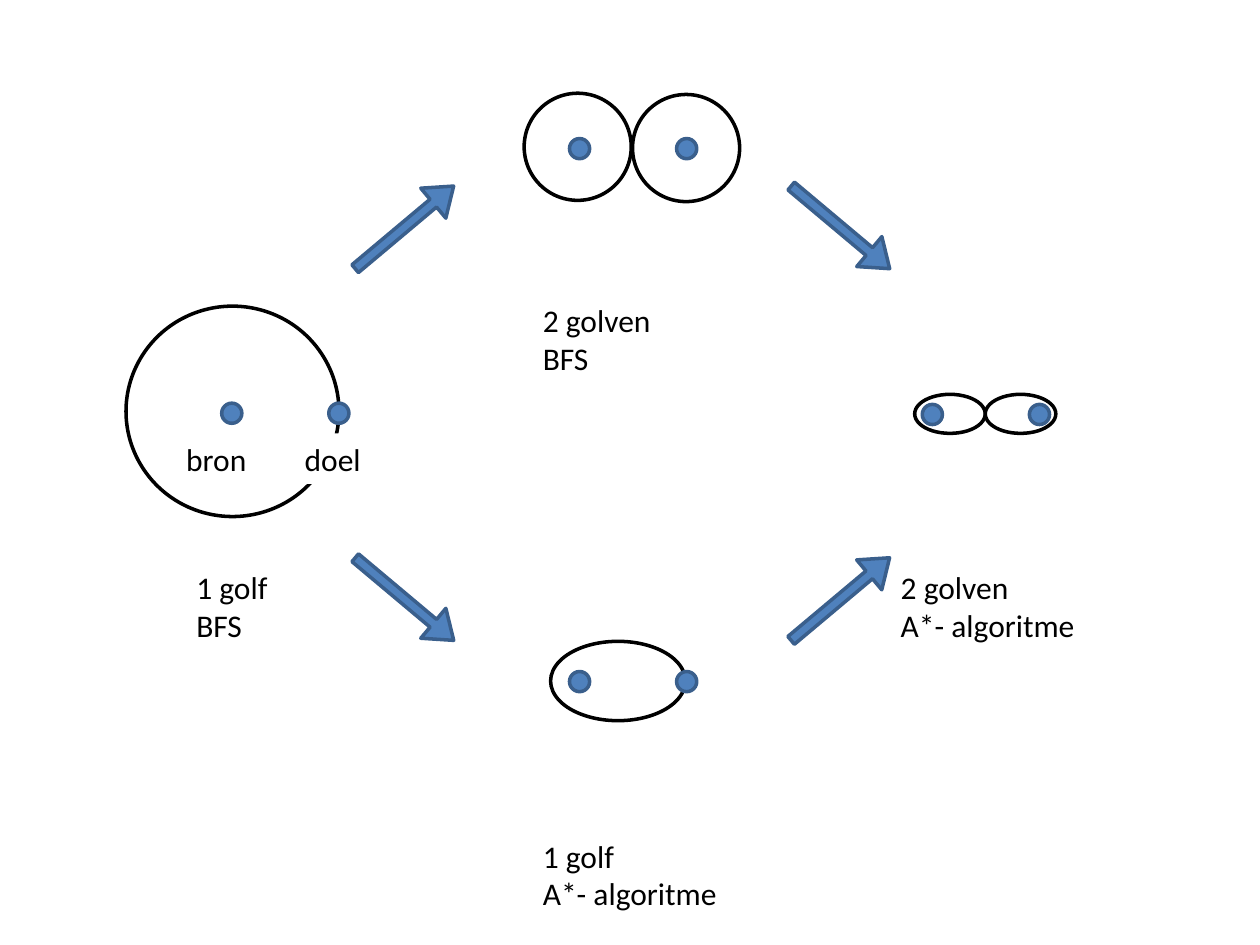
from dataclasses import dataclass

from pptx import Presentation
from pptx.dml.color import RGBColor
from pptx.enum.shapes import MSO_SHAPE
from pptx.enum.text import MSO_ANCHOR
from pptx.util import Inches, Pt

COLS, ROWS = 100, 75  # square grid cells over the slide
CELL = Inches(10) // COLS


@dataclass(frozen=True)
class Theme:
    blue: RGBColor = RGBColor(0x4F, 0x81, 0xBD)
    edge: RGBColor = RGBColor(0x3A, 0x5F, 0x8C)
    black: RGBColor = RGBColor(0, 0, 0)
    white: RGBColor = RGBColor(255, 255, 255)
    font: str = "Calibri"
    size: Pt = Pt(18)
    line: Pt = Pt(2)


@dataclass(frozen=True)
class Box:
    x: float
    y: float
    w: float
    h: float

    def span(self) -> list[int]:
        return [round(v * CELL) for v in (self.x, self.y, self.w, self.h)]


@dataclass(frozen=True)
class Search:
    """A wave picture: its outlines, and the left dot of the pair."""
    waves: tuple[Box, ...]
    x: float
    y: float


@dataclass(frozen=True)
class Label:
    box: Box
    text: str
    solid: bool = False


THEME = Theme()
DOT, GAP = 1.6, 8.5

SEARCHES = (
    Search((Box(10, 24.3, 16.9, 16.7),), 17.6, 32),
    Search((Box(41.6, 7.4, 8.5, 8.5), Box(50.2, 7.5, 8.5, 8.5)), 45.2, 11),
    Search((Box(43.7, 50.9, 10.7, 6.3),), 45.2, 53.3),
    Search((Box(72.6, 31.3, 5.6, 3.1), Box(78.2, 31.3, 5.6, 3.1)), 73.2, 32.1),
)
LEFT, RIGHT = 27, 61.6
TOP, LOW = 16.5, 46
UP, DOWN = 320, 40
ARROWS = ((LEFT, TOP, UP), (LEFT, LOW, DOWN),
          (RIGHT, LOW, UP), (RIGHT, TOP, DOWN))


def note(x: float, y: float, text: str) -> Label:
    return Label(Box(x, y, 18.9, 7.1), text)


def tag(x: float, text: str) -> Label:
    return Label(Box(x, 34.4, 8.7, 4), text, solid=True)


LABELS = (
    note(42.1, 23.4, "2 golven\nBFS"),
    note(42.1, 65.9, "1 golf\nA*- algoritme"),
    note(14.6, 44.6, "1 golf\nBFS"),
    note(70.5, 44.6, "2 golven\nA*- algoritme"),
    tag(13.8, "bron"),
    tag(23.2, "doel"),
)


def draw(shapes, kind: MSO_SHAPE, box: Box, filled: bool = True):
    """Add a blue shape, or a black outline when not filled."""
    shape = shapes.add_shape(kind, *box.span())
    shape.shadow.inherit = False
    if filled:
        shape.fill.solid()
        shape.fill.fore_color.rgb = THEME.blue
    else:
        shape.fill.background()
    shape.line.color.rgb = THEME.edge if filled else THEME.black
    shape.line.width = THEME.line
    return shape


def add_search(slide, search: Search) -> None:
    shapes = slide.shapes.add_group_shape().shapes
    for wave in search.waves:
        draw(shapes, MSO_SHAPE.OVAL, wave, filled=False)
    for x in (search.x, search.x + GAP):
        draw(shapes, MSO_SHAPE.OVAL, Box(x, search.y, DOT, DOT))


def add_arrow(slide, x: float, y: float, turn: float) -> None:
    arrow = draw(slide.shapes, MSO_SHAPE.RIGHT_ARROW, Box(x, y, 10.2, 3.1))
    arrow.rotation = turn
    arrow.adjustments[0] = 0.26
    arrow.adjustments[1] = 0.68


def add_label(slide, label: Label) -> None:
    shape = slide.shapes.add_textbox(*label.box.span())
    if label.solid:
        shape.fill.solid()
        shape.fill.fore_color.rgb = THEME.white
    frame = shape.text_frame
    frame.word_wrap = True
    frame.vertical_anchor = MSO_ANCHOR.TOP
    frame.text = label.text
    for par in frame.paragraphs:
        par.font.name = THEME.font
        par.font.size = THEME.size
        par.font.color.rgb = THEME.black


def main() -> None:
    deck = Presentation()
    deck.slide_width, deck.slide_height = COLS * CELL, ROWS * CELL
    slide = deck.slides.add_slide(deck.slide_layouts[6])
    for search in SEARCHES:
        add_search(slide, search)
    for arrow in ARROWS:
        add_arrow(slide, *arrow)
    for label in LABELS:
        add_label(slide, label)
    deck.save("out.pptx")


if __name__ == "__main__":
    main()
